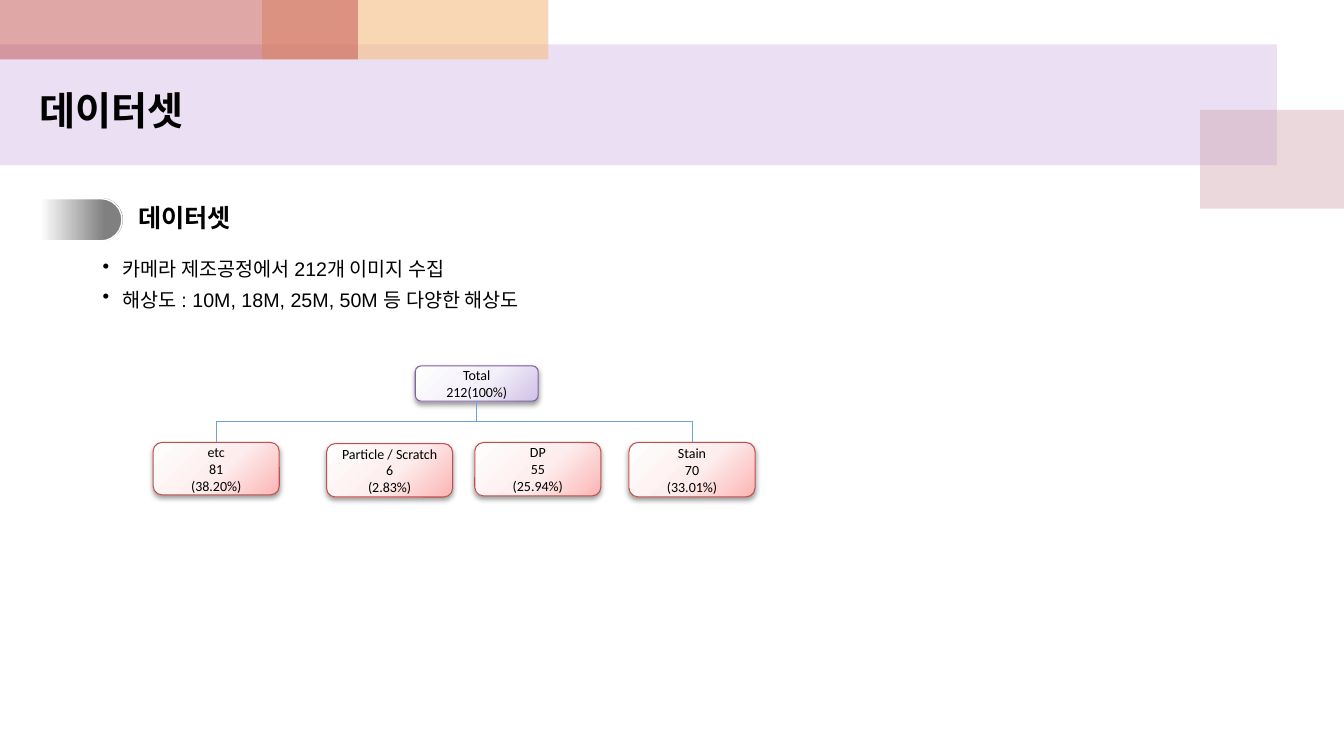
from lxml import etree
from pptx import Presentation, util as u
from pptx.dml.color import RGBColor
from pptx.enum import shapes, text
from pptx.oxml import parse_xml
from pptx.oxml.ns import nsdecls, qn

COLORS = {
    "black": "000000", "white": "FFFFFF", "lavender": "BF98D8",
    "rose": "CC9EAC", "orange": "F5BC83", "red": "C0504D",
    "purple": "8064A2", "link": "6BA2DF",
}
RED_SHADES = [(0, "FFFEFE"), (55, "FDEDED"), (100, "FBB5B4")]
PURPLE_SHADES = [(0, "FEFEFE"), (55, "F3F0F9"), (100, "D0C1E7")]
CORNER_GLOW = ('<a:path path="circle"><a:fillToRect l="-40000" t="-90000" '
               'r="140000" b="190000"/></a:path>')
DOWNWARD = '<a:lin ang="5400000" scaled="0"/>'
HANGUL = "Noto Sans CJK KR"


def rgb(name):
    return RGBColor.from_string(COLORS[name])


def write(frame, lines, size=10, font="Calibri", bold=False, bullet=None,
          align=text.PP_ALIGN.LEFT, spacing=None):
    for index, line in enumerate(lines):
        paragraph = frame.paragraphs[0] if index == 0 else frame.add_paragraph()
        paragraph.alignment = align
        paragraph.line_spacing = spacing
        if bullet:
            props = paragraph._p.get_or_add_pPr()
            props.set("marL", str(u.Inches(0.2)))
            props.set("indent", str(u.Inches(-0.2)))
            etree.SubElement(props, qn("a:buChar")).set("char", bullet)
        run = paragraph.add_run()
        run.text = line
        run.font.size, run.font.bold, run.font.name = u.Pt(size), bold, font
        run.font.color.rgb = rgb("black")
        etree.SubElement(run._r.get_or_add_rPr(), qn("a:ea")).set("typeface", HANGUL)


def fill_gradient(shape, stops, direction):
    """Fill with (position, colour[, opacity]) stops, in percent."""
    shape.fill.background()
    marks = "".join(
        f'<a:gs pos="{pos * 1000}"><a:srgbClr val="{color}">'
        f'<a:alpha val="{(opacity or [100])[0] * 1000}"/></a:srgbClr></a:gs>'
        for pos, color, *opacity in stops)
    props = shape._element.spPr
    props.replace(props.find(qn("a:noFill")), parse_xml(
        f'<a:gradFill {nsdecls("a")} rotWithShape="1"><a:gsLst>{marks}</a:gsLst>'
        f'{direction}</a:gradFill>'))


class Deck:
    """Lengths are percentages of the slide's width and height."""

    def __init__(self):
        self.show = Presentation()
        self.show.slide_width, self.show.slide_height = u.Inches(13.33), u.Inches(7.5)
        self.slide = self.show.slides.add_slide(self.show.slide_layouts[6])

    def place(self, left, top, width, height):
        across, down = self.show.slide_width / 100, self.show.slide_height / 100
        return [round(n) for n in (left * across, top * down, width * across, height * down)]

    def shape(self, kind, area, outline=None, weight=0.75):
        shape = self.slide.shapes.add_shape(kind, *self.place(*area))
        shape.shadow.inherit = False
        if outline:
            shape.line.color.rgb = rgb(outline)
            shape.line.width = u.Pt(weight)
        else:
            shape.line.fill.background()
        return shape

    def band(self, area, color, opacity):
        band = self.shape(shapes.MSO_SHAPE.RECTANGLE, area)
        band.fill.solid()
        band.fill.fore_color.rgb = rgb(color)
        tint = band._element.spPr.find(qn("a:solidFill"))[0]
        etree.SubElement(tint, qn("a:alpha")).set("val", str(opacity * 1000))

    def marker(self, area):
        marker = self.shape(shapes.MSO_SHAPE.ROUND_2_SAME_RECTANGLE, area, "white", 1)
        marker.adjustments[0], marker.adjustments[1] = 0.5, 0
        marker.rotation = 90
        black = COLORS["black"]
        fill_gradient(marker, [(22, black, 50), (100, black, 0)], DOWNWARD)

    def textbox(self, area, lines, inset=True, **style):
        frame = self.slide.shapes.add_textbox(*self.place(*area)).text_frame
        frame.word_wrap = True
        if not inset:
            frame.margin_left = frame.margin_right = 0
            frame.margin_top = frame.margin_bottom = 0
        write(frame, lines, **style)

    def node(self, area, lines, outline, shades):
        node = self.shape(shapes.MSO_SHAPE.ROUNDED_RECTANGLE, area, outline)
        fill_gradient(node, shades, CORNER_GLOW)
        props = node._element.spPr
        props.replace(props.find(qn("a:effectLst")), parse_xml(
            f'<a:effectLst {nsdecls("a")}><a:outerShdw blurRad="{u.Pt(4)}" '
            f'dist="{u.Pt(2)}" dir="5400000" rotWithShape="0">'
            f'<a:srgbClr val="{COLORS["black"]}"><a:alpha val="40000"/></a:srgbClr>'
            '</a:outerShdw></a:effectLst>'))
        node.text_frame.word_wrap = True
        node.text_frame.vertical_anchor = text.MSO_ANCHOR.MIDDLE
        write(node.text_frame, lines, align=text.PP_ALIGN.CENTER)
        return node

    def branch(self, child, parent):
        """Elbow from a child's top to its parent's foot, turned to leave upwards."""
        start, end = child.left + child.width // 2, parent.left + parent.width // 2
        foot = parent.top + parent.height
        middle_x, middle_y = (start + end) // 2, (child.top + foot) // 2
        half_rise, half_run = (child.top - foot) // 2, (end - start) // 2
        elbow = self.slide.shapes.add_connector(
            shapes.MSO_CONNECTOR.ELBOW, middle_x - half_rise, middle_y - half_run,
            middle_x + half_rise, middle_y + half_run)
        elbow.line.color.rgb = rgb("link")
        elbow.line.width = u.Pt(0.75)
        props = elbow._element.spPr
        props.find(qn("a:xfrm")).set("rot", str(270 * 60000))
        etree.SubElement(props, qn("a:effectLst"))


def main():
    deck = Deck()
    deck.band((0, 5.87, 95, 16), "lavender", 30)
    deck.band((89.3, 14.53, 10.7, 13.07), "rose", 40)
    deck.band((19.5, 0, 21.3, 7.87), "orange", 60)
    deck.band((0, 0, 26.63, 7.87), "red", 50)

    deck.textbox((2.18, 10.8, 65.4, 7.6), ["데이터셋"], size=28, font=HANGUL, bold=True)
    deck.textbox((10.28, 26.8, 24.75, 4), ["데이터셋"], inset=False,
                 size=18, font=HANGUL, bold=True)
    deck.marker((4.5, 23.73, 3.15, 10.67))
    deck.textbox((6.9, 32.4, 42.9, 9.47),
                 ["카메라 제조공정에서 212개 이미지 수집",
                  "해상도 : 10M, 18M, 25M, 50M 등 다양한 해상도"],
                 size=14, font="Arial", bullet="•", spacing=1.3)

    defects = [
        (11.4, 58.53, 6.93, ["etc", "81", "(38.20%)"]),
        (24.3, 58.67, 7.07, ["Particle / Scratch", "6", "(2.83%)"]),
        (35.33, 58.53, 7.07, ["DP", "55", "(25.94%)"]),
        (46.8, 58.53, 7.2, ["Stain", "70", "(33.01%)"]),
    ]
    classes = [deck.node((left, top, 9.38, height), lines, "red", RED_SHADES)
               for left, top, height, lines in defects]
    total = deck.node((30.9, 48.4, 9.15, 4.67), ["Total", "212(100%)"],
                      "purple", PURPLE_SHADES)
    for outermost in (classes[0], classes[-1]):
        deck.branch(outermost, total)
    deck.show.save("out.pptx")


if __name__ == "__main__":
    main()
